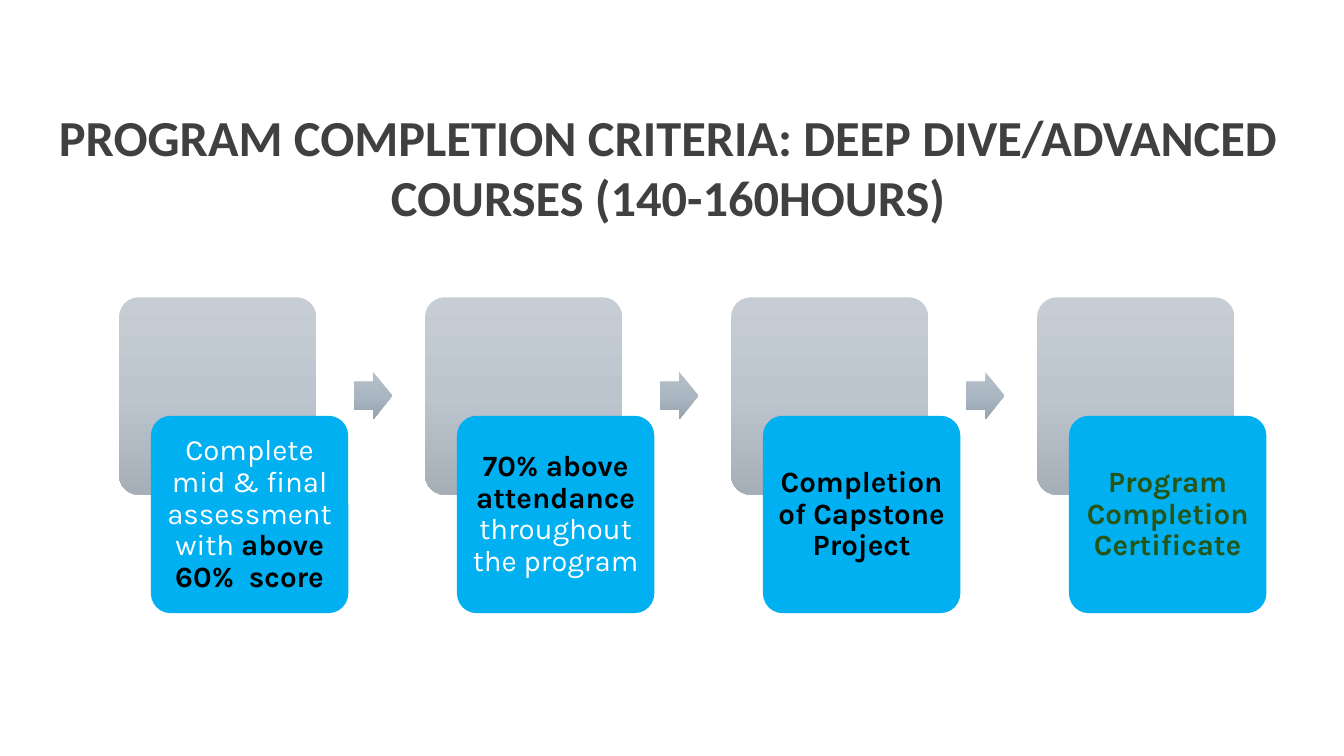
from copy import deepcopy

from pptx import Presentation
from pptx.dml.color import RGBColor
from pptx.enum.shapes import MSO_SHAPE as Preset
from pptx.enum.text import MSO_ANCHOR as Anchor, MSO_AUTO_SIZE as AutoSize, PP_ALIGN as Align
from pptx.oxml.ns import qn
from pptx.util import Pt

WHITE = RGBColor(0xFF, 0xFF, 0xFF)
BLACK = RGBColor(0x00, 0x00, 0x00)
CHARCOAL = RGBColor(0x40, 0x40, 0x40)
GREEN = RGBColor(0x27, 0x54, 0x17)
BLUE = RGBColor(0x00, 0xB0, 0xF0)
PANEL_SHADES = (RGBColor(0xC6, 0xCD, 0xD4), RGBColor(0xBC, 0xC5, 0xCE), RGBColor(0xA6, 0xAF, 0xB8))
ARROW_SHADES = (RGBColor(0xB6, 0xBF, 0xC9), RGBColor(0xAA, 0xB7, 0xC2), RGBColor(0x96, 0xA2, 0xAE))

TITLE = "PROGRAM COMPLETION CRITERIA: DEEP DIVE/ADVANCED COURSES (140-160HOURS)"
# Each criterion is a list of (text, colour, bold) runs.
CRITERIA = [
    [("Complete mid & final assessment with ", WHITE, False), ("above 60%  score", BLACK, True)],
    [("70% above attendance ", BLACK, True), ("throughout the program", WHITE, False)],
    [("Completion of Capstone Project", BLACK, True)],
    [("Program Completion Certificate", GREEN, True)],
]

FIRST_LEFT, PANEL_TOP = 85, 212.4
PITCH = 218.6
SIDE = 141
CARD_SHIFT_X, CARD_SHIFT_Y = 22.8, 84.6
ARROW_SHIFT_X, ARROW_TOP = 168, 265.8
ARROW_WIDTH, ARROW_HEIGHT = 27.2, 33.8


def add_run(paragraph, text, font_name, size, colour, bold):
    run = paragraph.add_run()
    run.text = text
    run.font.name = font_name
    run.font.size = Pt(size)
    run.font.color.rgb = colour
    run.font.bold = bold


def add_plain_shape(slide, preset, left, top, width, height, adjustments):
    """Add a preset shape without outline or shadow."""
    shape = slide.shapes.add_shape(preset, Pt(left), Pt(top), Pt(width), Pt(height))
    for index, value in enumerate(adjustments):
        shape.adjustments[index] = value
    shape.shadow.inherit = False
    shape.line.fill.background()
    return shape


def shade_downwards(shape, colours):
    """Fill with a vertical gradient of three evenly spaced colours."""
    shape.fill.gradient()
    shape.fill.gradient_angle = 270
    stop_list = shape._element.spPr.find(qn("a:gradFill")).find(qn("a:gsLst"))
    stop_list.insert(1, deepcopy(stop_list[0]))
    for index, (stop, colour) in enumerate(zip(shape.fill.gradient_stops, colours)):
        stop.position = index / 2
        stop.color.rgb = colour


def add_title(slide):
    box = slide.shapes.add_textbox(Pt(18), Pt(72), Pt(918.7), Pt(94.3))
    frame = box.text_frame
    frame.word_wrap = True
    frame.auto_size = AutoSize.SHAPE_TO_FIT_TEXT
    paragraph = frame.paragraphs[0]
    paragraph.alignment = Align.CENTER
    add_run(paragraph, TITLE, "Calibri", 36, CHARCOAL, True)


def add_panel(slide, left):
    panel = add_plain_shape(slide, Preset.ROUNDED_RECTANGLE, left, PANEL_TOP, SIDE, SIDE, [0.1])
    shade_downwards(panel, PANEL_SHADES)


def add_card(slide, left, runs):
    card = add_plain_shape(slide, Preset.ROUNDED_RECTANGLE, left + CARD_SHIFT_X,
                           PANEL_TOP + CARD_SHIFT_Y, SIDE, SIDE, [0.1])
    card.fill.solid()
    card.fill.fore_color.rgb = BLUE
    frame = card.text_frame
    frame.word_wrap = True
    frame.vertical_anchor = Anchor.MIDDLE
    frame.margin_left = frame.margin_right = frame.margin_top = frame.margin_bottom = Pt(6.3)
    paragraph = frame.paragraphs[0]
    paragraph.alignment = Align.CENTER
    paragraph.line_spacing = 0.9
    for text, colour, bold in runs:
        add_run(paragraph, text, "Karla", 21, colour, bold)


def add_arrow(slide, left):
    arrow = add_plain_shape(slide, Preset.RIGHT_ARROW, left + ARROW_SHIFT_X, ARROW_TOP,
                            ARROW_WIDTH, ARROW_HEIGHT, [0.6, 0.5])
    shade_downwards(arrow, ARROW_SHADES)


def main():
    presentation = Presentation()
    presentation.slide_width, presentation.slide_height = Pt(960), Pt(540)
    slide = presentation.slides.add_slide(presentation.slide_layouts[6])
    add_title(slide)
    for index, runs in enumerate(CRITERIA):
        left = FIRST_LEFT + index * PITCH
        add_panel(slide, left)
        add_card(slide, left, runs)
        if index < len(CRITERIA) - 1:
            add_arrow(slide, left)
    presentation.save("out.pptx")


if __name__ == "__main__":
    main()
